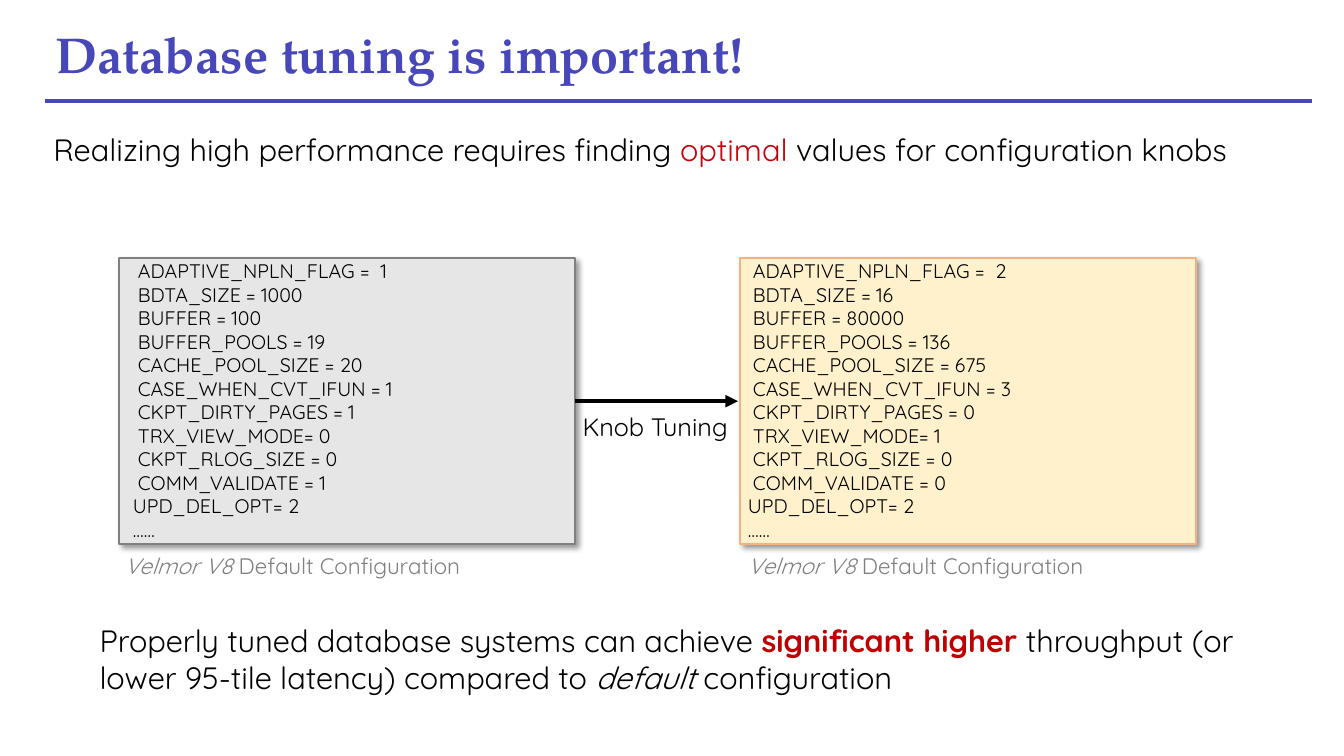
from lxml import etree
from pptx import Presentation
from pptx.dml.color import RGBColor
from pptx.enum.shapes import MSO_CONNECTOR, MSO_SHAPE
from pptx.enum.text import MSO_ANCHOR
from pptx.oxml import parse_xml
from pptx.oxml.ns import nsdecls, qn
from pptx.util import Inches, Pt

STRAIGHT = MSO_CONNECTOR.STRAIGHT
RECTANGLE = MSO_SHAPE.RECTANGLE
TOP, MIDDLE = MSO_ANCHOR.TOP, MSO_ANCHOR.MIDDLE

BODY_FONT, TITLE_FONT = "Quicksand", "TeX Gyre Pagella"
COLORS = {
    "title": "4747BA", "text": "000000", "optimal": "C5050C",
    "emphasis": "C00000", "caption": "808080",
    "default_fill": "E6E6E6", "default_line": "808080",
    "tuned_fill": "FFF1CC", "tuned_line": "F4B183",
}

# Content: a run is (text, colour, style)
TITLE = [("Database tuning is important!", "title", "bold")]
CLAIM = [
    ("Realizing high performance requires finding ", "text", ""),
    ("optimal ", "optimal", ""),
    ("values for configuration knobs", "text", ""),
]
CONCLUSION = [
    ("Properly tuned database systems can achieve ", "text", ""),
    ("significant higher ", "emphasis", "bold"),
    ("throughput (or lower 95-tile latency) compared to ", "text", ""),
    ("default ", "text", "italic"),
    ("configuration", "text", ""),
]
CAPTION = [("Velmor V8 ", "caption", "italic"),
           ("Default Configuration", "caption", "")]
ARROW_LABEL = [("Knob Tuning", "text", "")]

# Knob, default value, tuned value
KNOBS = [
    ("ADAPTIVE_NPLN_FLAG =  ", 1, 2),
    ("BDTA_SIZE = ", 1000, 16),
    ("BUFFER = ", 100, 80000),
    ("BUFFER_POOLS = ", 19, 136),
    ("CACHE_POOL_SIZE = ", 20, 675),
    ("CASE_WHEN_CVT_IFUN = ", 1, 3),
    ("CKPT_DIRTY_PAGES = ", 1, 0),
    ("TRX_VIEW_MODE= ", 0, 1),
    ("CKPT_RLOG_SIZE = ", 0, 0),
    ("COMM_VALIDATE = ", 1, 0),
]
LAST_LINES = ["UPD_DEL_OPT= 2", "……"]

# Panel left, text left, caption left, colour name, value column
PANELS = [
    (1.18, 1.22, 1.14, "default", 1),
    (7.34, 7.32, 7.32, "tuned", 2),
]
PANEL_TOP, PANEL_WIDTH, PANEL_HEIGHT = 2.56, 4.52, 2.84
KNOB_INDENT = 0.05


def color(name):
    return RGBColor.from_string(COLORS[name])


def add_text(slide, box, paragraphs, size, font=BODY_FONT, wrap=True, anchor=TOP):
    text_box = slide.shapes.add_textbox(*map(Inches, box))
    frame = text_box.text_frame
    frame.word_wrap = wrap
    frame.vertical_anchor = anchor
    for index, runs in enumerate(paragraphs):
        paragraph = frame.paragraphs[0] if index == 0 else frame.add_paragraph()
        for text, color_name, style in runs:
            run = paragraph.add_run()
            run.text = text
            run.font.name = font
            run.font.size = Pt(size)
            run.font.bold = style == "bold"
            run.font.italic = style == "italic"
            run.font.color.rgb = color(color_name)
    return frame


def add_line(slide, start, end, color_name, arrow=False):
    connector = slide.shapes.add_connector(
        STRAIGHT, *map(Inches, start), *map(Inches, end))
    connector.line.color.rgb = color(color_name)
    connector.line.width = Pt(3)
    if arrow:
        outline = connector.line._get_or_add_ln()
        etree.SubElement(outline, qn("a:tailEnd"), type="triangle")
    etree.SubElement(connector._element.spPr, qn("a:effectLst"))


def add_panel(slide, left, name):
    panel = slide.shapes.add_shape(RECTANGLE, *map(
        Inches, (left, PANEL_TOP, PANEL_WIDTH, PANEL_HEIGHT)))
    panel.fill.solid()
    panel.fill.fore_color.rgb = color(name + "_fill")
    panel.line.color.rgb = color(name + "_line")
    panel.line.width = Pt(1.5)
    # Soft shadow towards the lower right
    panel._element.spPr.append(parse_xml(
        f'<a:effectLst {nsdecls("a")}>'
        f'<a:outerShdw blurRad="{Pt(4)}" dist="{Pt(3)}" dir="2700000" '
        'algn="tl" rotWithShape="0"><a:srgbClr val="000000">'
        '<a:alpha val="40000"/></a:srgbClr></a:outerShdw></a:effectLst>'))


def main():
    presentation = Presentation()
    presentation.slide_width = Inches(13.33)
    presentation.slide_height = Inches(7.5)
    slide = presentation.slides.add_slide(presentation.slide_layouts[6])

    # Heading and claim
    add_line(slide, (0.45, 1), (13.01, 1), "title")
    title = add_text(slide, (0.45, 0.24, 7.44, 0.65), [TITLE], 36,
                     TITLE_FONT, anchor=MIDDLE)
    title.paragraphs[0].line_spacing = 0.9
    add_text(slide, (0.43, 1.25, 12.48, 0.47), [CLAIM], 22)

    # Configuration panels
    for panel_left, text_left, caption_left, name, column in PANELS:
        add_panel(slide, panel_left, name)
        lines = [f"{knob[0]}{knob[column]}" for knob in KNOBS] + LAST_LINES
        listing = add_text(slide, (text_left, 2.52, 4.46, 2.93),
                           [[(line, "text", "")] for line in lines], 14)
        for paragraph in listing.paragraphs[:len(KNOBS)]:
            properties = paragraph._p.get_or_add_pPr()
            properties.set("marL", str(Inches(KNOB_INDENT)))
        add_text(slide, (caption_left, 5.43, 4.27, 0.37), [CAPTION], 16)

    # Tuning arrow
    add_line(slide, (5.7, 3.98), (7.32, 3.98), "text", arrow=True)
    add_text(slide, (5.68, 4.03, 1.74, 0.4), [ARROW_LABEL], 18, wrap=False)

    # Conclusion
    add_text(slide, (0.89, 6.12, 11.56, 0.84), [CONCLUSION], 22)

    presentation.save("out.pptx")


if __name__ == "__main__":
    main()
